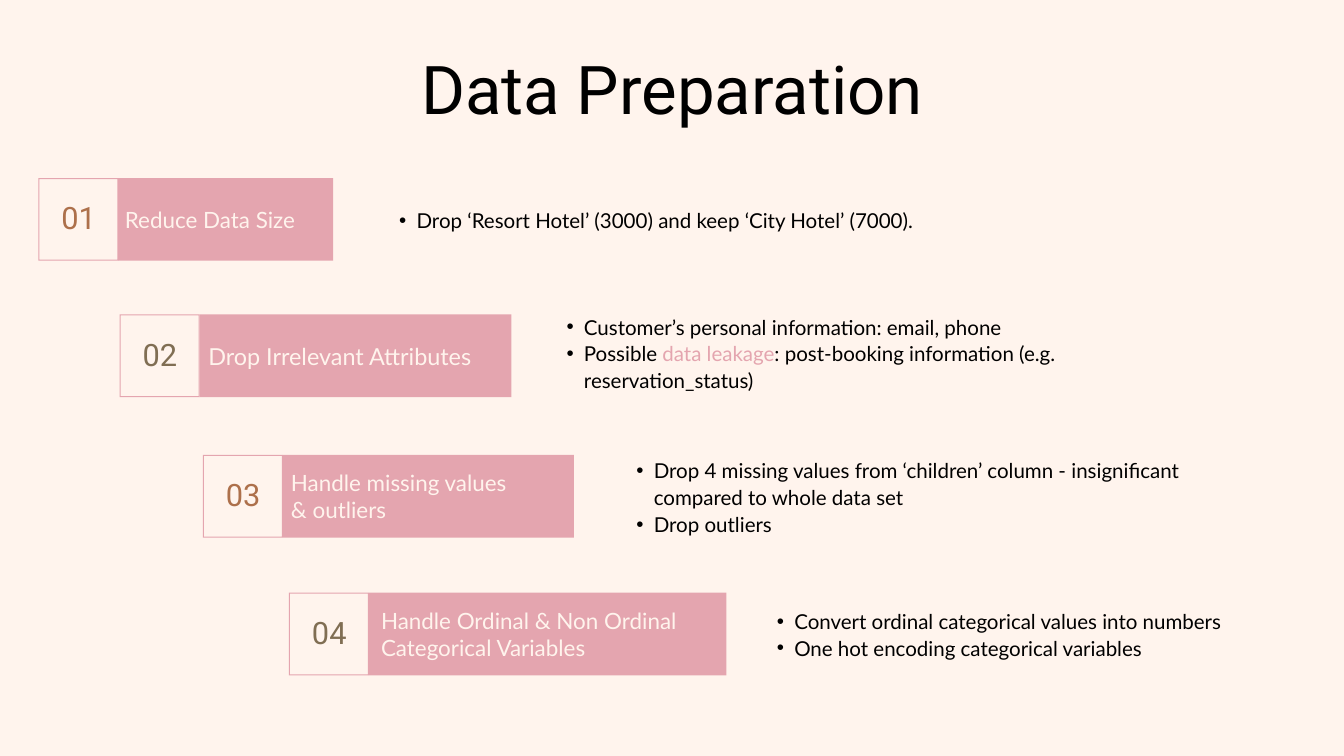
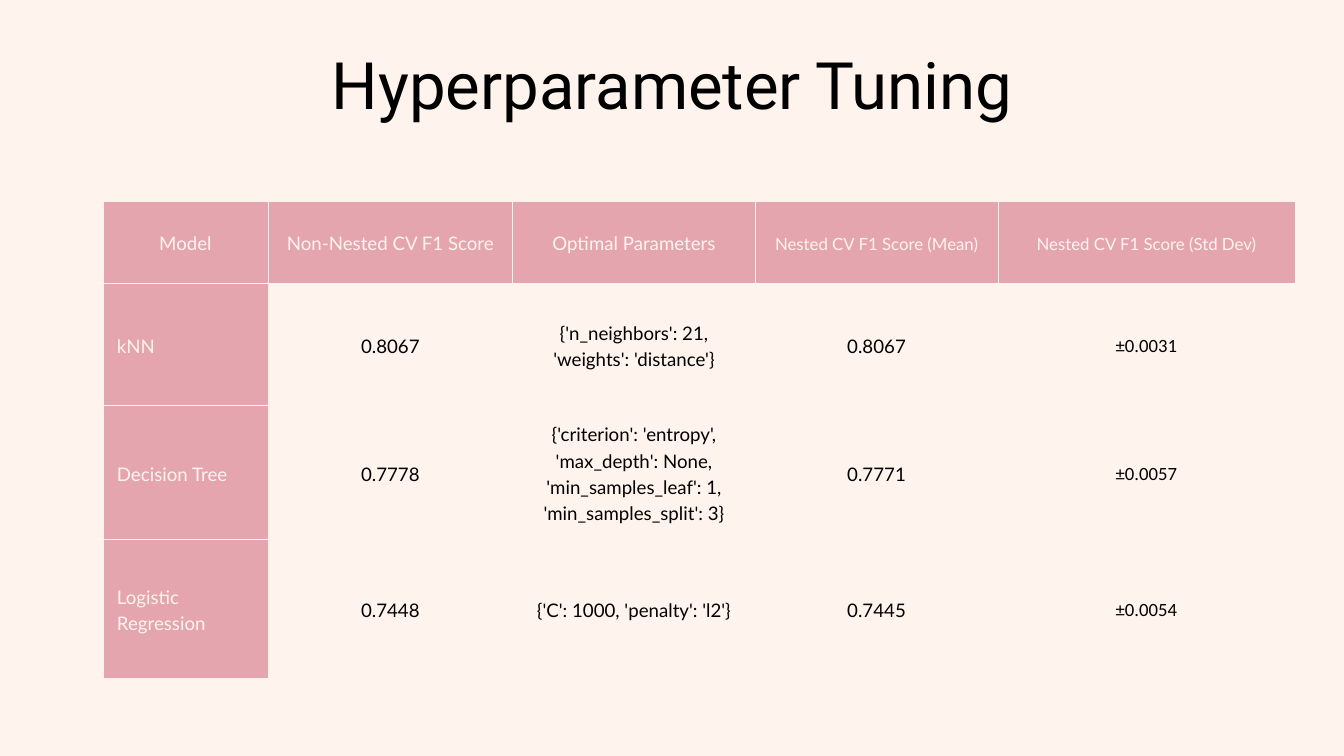
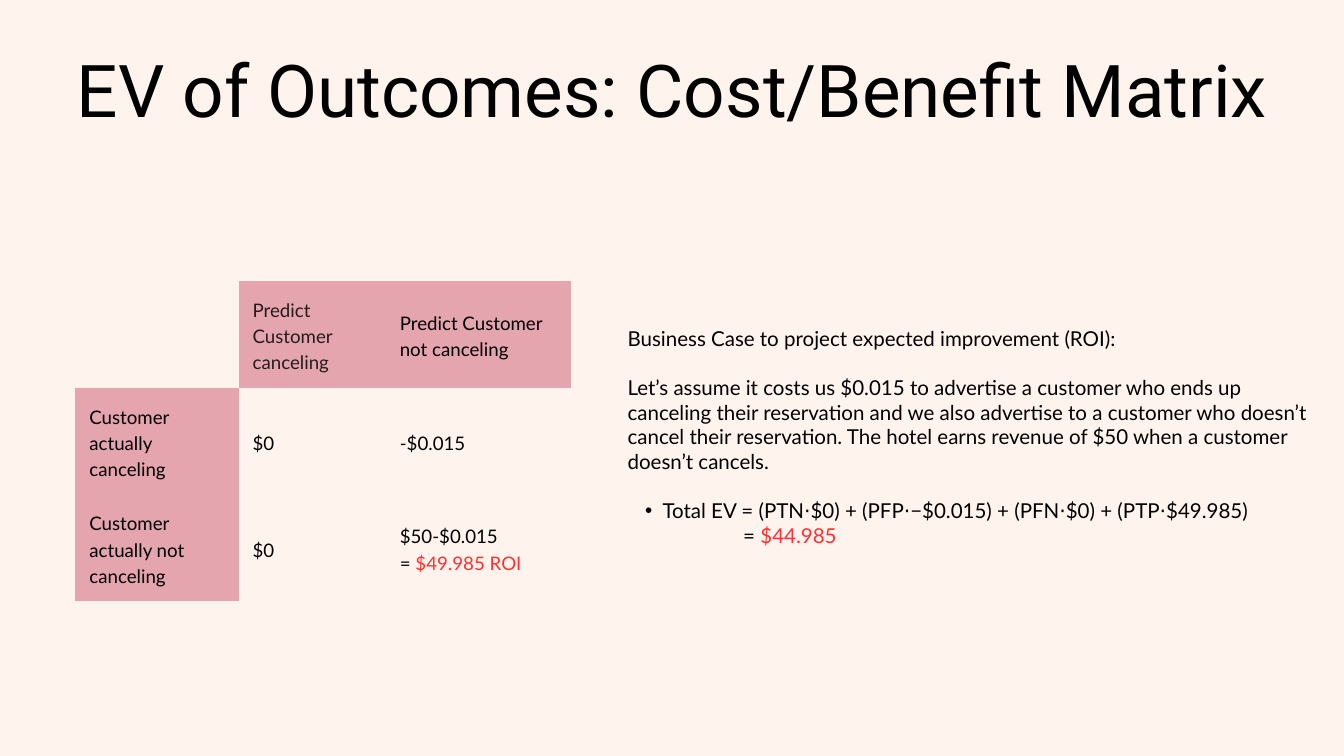
from lxml import etree
from pptx import Presentation
from pptx.dml.color import RGBColor
from pptx.enum.shapes import MSO_SHAPE
from pptx.enum.text import MSO_ANCHOR, PP_ALIGN
from pptx.oxml.ns import qn
from pptx.util import Inches, Pt

RECT = MSO_SHAPE.RECTANGLE
MID = MSO_ANCHOR.MIDDLE
LEFT, MIDST = PP_ALIGN.LEFT, PP_ALIGN.CENTER
COLS, ROWS, BLANK = 20, 11.25, 6
CREAM, PINK, BLACK, RED = "FFF4ED", "E4A5AF", "000000", "FF3131"
BROWN, OLIVE, DARK = "AD704B", "806E53", "261C19"
SANS, HEAD, PLAIN = "Lato", "Roboto", "Calibri"


def rgb(code):
    """Turn a hex string into a colour."""
    return RGBColor.from_string(code)


def paint(shape, code):
    """Give a shape a flat fill with no line or shadow."""
    shape.fill.solid()
    shape.fill.fore_color.rgb = rgb(code)
    shape.line.fill.background()
    shape.shadow.inherit = False


def write(frame, text, size=22, font=SANS, color=BLACK, accent=RED, lead=1.3,
          align=LEFT, gap=0, dent=0, dot=False):
    """Add one paragraph; parts between bars take the accent colour."""
    para = frame.paragraphs[0]
    if para.runs:
        para = frame.add_paragraph()
    para.alignment = align
    para.line_spacing = Pt(round(size * lead, 1))
    para.space_before = Pt(gap)
    props = para._p.get_or_add_pPr()
    if dot:
        para.level = 1
        props.set("marL", str(Inches(0.52)))
        props.set("indent", str(Inches(-0.26)))
        etree.SubElement(props, qn("a:buFont")).set("typeface", "Arial")
        etree.SubElement(props, qn("a:buChar")).set("char", "•")
    elif dent:
        props.set("marL", str(Inches(dent)))
        props.set("indent", "0")
    for spot, part in enumerate(text.split("|")):
        if part:
            run = para.add_run()
            run.text = part
            run.font.size = Pt(size)
            run.font.name = font
            run.font.color.rgb = rgb(accent if spot % 2 else color)


def edge(cell, color, width):
    """Draw all four cell borders, or clear them if no colour is given."""
    props = cell._tc.get_or_add_tcPr()
    for side in "LRTB":
        line = etree.SubElement(props, qn(f"a:ln{side}"), w=str(Pt(width)))
        if color:
            fill = etree.SubElement(line, qn("a:solidFill"))
            etree.SubElement(fill, qn("a:srgbClr"), val=color)
        else:
            etree.SubElement(line, qn("a:noFill"))


class Deck:
    """Hold the shared style and the current slide."""

    def __init__(self):
        """Start an empty deck on a square grid."""
        self.show = Presentation()
        self.show.slide_width = Inches(COLS)
        self.show.slide_height = Inches(ROWS)
        self.unit = self.show.slide_width // COLS

    def at(self, *spans):
        """Turn grid spans into lengths."""
        return [round(span * self.unit) for span in spans]

    def page(self, title, size, top):
        """Add a slide with its ground and title."""
        slide = self.show.slides.add_slide(self.show.slide_layouts[BLANK])
        slide.background.fill.solid()
        slide.background.fill.fore_color.rgb = rgb(CREAM)
        self.shapes = slide.shapes
        frame = self.box(0.73, top, 18.55, size * 1.1 / 72)
        write(frame, title, size=size, font=HEAD, lead=1.1, align=MIDST)

    def box(self, *place):
        """Add a text box without margins and return its frame."""
        frame = self.shapes.add_textbox(*self.at(*place)).text_frame
        frame.word_wrap = True
        frame.margin_left = frame.margin_right = 0
        frame.margin_top = frame.margin_bottom = 0
        return frame

    def bar(self, *place):
        """Add a filled bar."""
        paint(self.shapes.add_shape(RECT, *self.at(*place)), PINK)

    def ring(self, left, top, wide, high, rim=0.015):
        """Add a thin hollow frame."""
        right, foot = left + wide, top + high
        outer = [(left, top), (left, foot), (right, foot), (right, top)]
        inner = [(right - rim, foot - rim), (left + rim, foot - rim),
                 (left + rim, top + rim), (right - rim, top + rim)]
        outer, inner = ([self.at(*dot) for dot in loop] for loop in (outer, inner))
        pen = self.shapes.build_freeform(*outer[0])
        pen.add_line_segments(outer[1:], close=True)
        pen.move_to(*inner[0])
        pen.add_line_segments(inner[1:], close=True)
        paint(pen.convert_to_shape(), PINK)

    def step(self, mark, tint, left, top, wide, shift, label, size, note, lines):
        """Add a numbered step with its label and notes."""
        side, high = 1.19, 1.23
        start = left + side
        self.ring(left, top, side, high)
        write(self.box(left + 0.23, top + 0.36, 0.74, 0.53), mark, size=33,
              font=HEAD, color=tint, lead=1.1, align=MIDST)
        self.bar(start, top, wide, high)
        tall = 0.4 * (1 if wide == 4.64 or wide == 3.2 else 2)
        frame = self.box(start + shift, top + (high - tall) / 2, wide, tall)
        for line in label.split("\n"):
            write(frame, line, size=size, color=CREAM, lead=1.2)
        frame = self.box(*note)
        for line in lines:
            write(frame, line, accent=PINK, dot=True)

    def table(self, left, top, cols, rows, data, look, rule=None, width=0):
        """Add a table with pink heads; look gives each cell its format."""
        place = self.at(left, top, sum(cols), sum(rows))
        table = self.shapes.add_table(len(rows), len(cols), *place).table
        table.first_row = table.horz_banding = False
        for part, span in zip(table.columns, cols):
            part.width = self.at(span)[0]
        for part, span in zip(table.rows, rows):
            part.height = self.at(span)[0]
        for row, texts in enumerate(data):
            for col, text in enumerate(texts):
                cell = table.cell(row, col)
                cell.vertical_anchor = MID
                cell.margin_left = cell.margin_right = Inches(0.21)
                cell.margin_top = cell.margin_bottom = Inches(0.21)
                edge(cell, rule, width)
                if text and 0 in (row, col):
                    cell.fill.solid()
                    cell.fill.fore_color.rgb = rgb(PINK)
                else:
                    cell.fill.background()
                for line in text.split("\n"):
                    write(cell.text_frame, line, lead=1.4, **look(row, col))


STEPS = [
    ("01", BROWN, 0.57, 2.65, 3.2, 0.1, "Reduce Data Size", 24,
     (5.68, 3.06, 10.5, 0.4),
     ["Drop ‘Resort Hotel’ (3000) and keep ‘City Hotel’ (7000)."]),
    ("02", OLIVE, 1.78, 4.68, 4.64, 0.13, "Drop Irrelevant Attributes", 25.1,
     (8.17, 4.65, 9.69, 1.5),
     ["Customer’s personal information: email, phone",
      "Possible |data leakage|: post-booking information (e.g. reservation_status)"]),
    ("03", BROWN, 3.02, 6.77, 4.33, 0.12, "Handle missing values\n& outliers", 24,
     (9.21, 6.79, 9.33, 1.18),
     ["Drop 4 missing values from ‘children’ column - insignificant compared to "
      "whole data set", "Drop outliers"]),
    ("04", OLIVE, 4.3, 8.82, 5.32, 0.18,
     "Handle Ordinal & Non Ordinal Categorical Variables", 24,
     (11.3, 9.03, 8.34, 0.78),
     ["Convert ordinal categorical values into numbers",
      "One hot encoding categorical variables"]),
]

SCORES = [
    ["Model", "Non-Nested CV F1 Score", "Optimal Parameters",
     "Nested CV F1 Score (Mean)", "Nested CV F1 Score (Std Dev)"],
    ["kNN", "0.8067", "{'n_neighbors': 21, 'weights': 'distance'}",
     "0.8067", "±0.0031"],
    ["Decision Tree", "0.7778",
     "{'criterion': 'entropy', 'max_depth': None, 'min_samples_leaf': 1, "
     "'min_samples_split': 3}", "0.7771", "±0.0057"],
    ["Logistic Regression", "0.7448", "{'C': 1000, 'penalty': 'l2'}",
     "0.7445", "±0.0054"],
]

COSTS = [
    ["", "Predict Customer canceling", "Predict Customer not canceling"],
    ["Customer actually canceling", "$0", "-$0.015"],
    ["Customer actually not canceling", "$0", "$50-$0.015\n= |$49.985 ROI|"],
]


def score_look(row, col):
    """Give the format of a score cell."""
    return {"size": 18 if row == 0 and col > 2 else 20,
            "color": CREAM if 0 in (row, col) else BLACK,
            "font": PLAIN if row and col == 4 else SANS,
            "align": LEFT if row and col == 0 else MIDST}


def cost_look(row, col):
    """Give the format of a cost cell."""
    return {"size": 20, "color": DARK if (row, col) == (0, 1) else BLACK}


def main():
    """Build the three slides and save them."""
    deck = Deck()

    deck.page("Data Preparation", 72, 0.81)
    for step in STEPS:
        deck.step(*step)

    deck.page("Hyperparameter Tuning", 70, 0.76)
    deck.table(1.53, 2.99, [2.46, 3.64, 3.61, 3.61, 4.42],
               [1.22, 1.82, 1.99, 2.07], SCORES, score_look, CREAM, 0.75)

    deck.page("EV of Outcomes: Cost/Benefit Matrix", 78, 0.78)
    deck.table(1.12, 4.18, [2.43, 2.19, 2.76], [1.59] * 3, COSTS, cost_look)
    frame = deck.box(9.34, 4.85, 10.16, 4.36)
    write(frame, "Business Case to project expected improvement (ROI):", lead=1.2)
    write(frame, "Let’s assume it costs us $0.015 to advertise a customer who ends "
          "up canceling their reservation and we also advertise to a customer who "
          "doesn’t cancel their reservation. The hotel earns revenue of $50 when a "
          "customer doesn’t cancels.", lead=1.2, gap=26.4)
    write(frame, "Total EV = (PTN⋅$0) + (PFP⋅−$0.015) + (PFN⋅$0) + (PTP⋅$49.985)",
          lead=1.2, gap=26.4, dot=True)
    write(frame, "= |$44.985|", lead=1.2, dent=1.72)

    deck.show.save("out.pptx")


if __name__ == "__main__":
    main()
